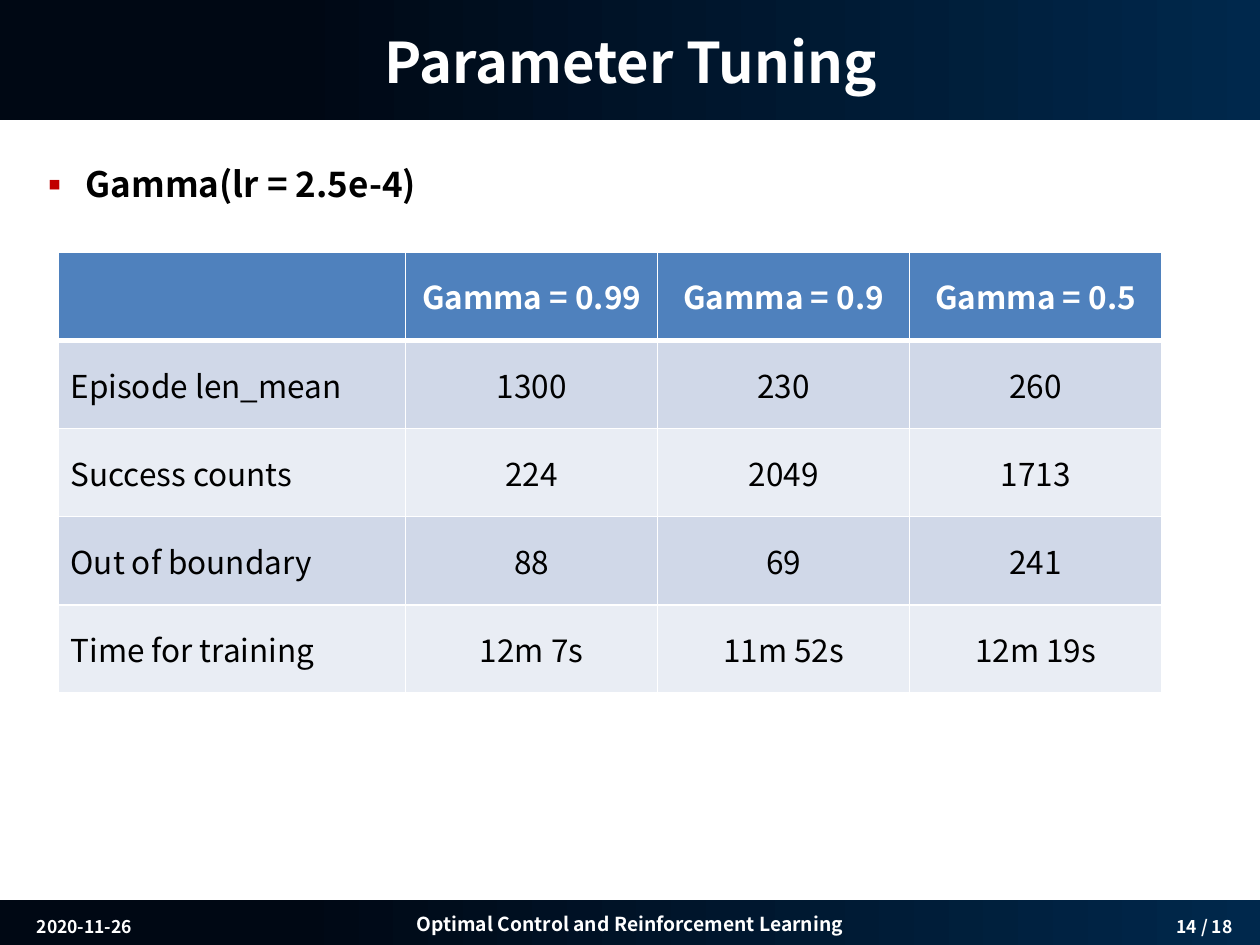
import pptx
import pptx.util
import pptx.dml.color
import pptx.enum.shapes
import pptx.enum.text
import pptx.oxml
import pptx.oxml.ns

Inches = pptx.util.Inches
Pt = pptx.util.Pt
RGBColor = pptx.dml.color.RGBColor
ALIGN = pptx.enum.text.PP_ALIGN
ANCHOR = pptx.enum.text.MSO_ANCHOR

FONT = "Noto Sans CJK KR"
WHITE = RGBColor(0xFF, 0xFF, 0xFF)
BLACK = RGBColor(0, 0, 0)
NAVY = RGBColor(0x00, 0x28, 0x4C)
MIDNIGHT = RGBColor(0x00, 0x08, 0x14)
HEADER_BLUE = RGBColor(0x4F, 0x81, 0xBD)
BAND_COLORS = [RGBColor(0xD0, 0xD8, 0xE8), RGBColor(0xE9, 0xED, 0xF4)]

TITLE = "Parameter Tuning"
TOPIC = "Gamma(lr = 2.5e-4)"
COURSE = "Optimal Control and Reinforcement Learning"
FOOTER_NOTES = [("14 / 18", 9.17, 0.78), ("2020-11-26", 0.04, 1.26)]
RESULTS = [
    ["", "Gamma = 0.99", "Gamma = 0.9", "Gamma = 0.5"],
    ["Episode len_mean", "1300", "230", "260"],
    ["Success counts", "224", "2049", "1713"],
    ["Out of boundary", "88", "69", "241"],
    ["Time for training", "12m 7s", "11m 52s", "12m 19s"],
]
COLUMN_WIDTHS = [2.76, 2, 2, 2]
ROW_HEIGHT = 0.7


def write(frame, text, size, color=WHITE, bold=True, align=ALIGN.CENTER,
          anchor=ANCHOR.TOP, before=0, wrap=True):
    frame.word_wrap = wrap
    frame.vertical_anchor = anchor
    paragraph = frame.paragraphs[0]
    paragraph.alignment = align
    paragraph.space_before = Pt(before)
    run = paragraph.add_run()
    run.text = text
    run.font.name = FONT
    run.font.size = Pt(size)
    run.font.bold = bold
    run.font.color.rgb = color
    return paragraph


def add_box(slide, *place):
    return slide.shapes.add_textbox(*map(Inches, place)).text_frame


def add_band(slide, *place):
    band = slide.shapes.add_shape(
        pptx.enum.shapes.MSO_SHAPE.RECTANGLE, *map(Inches, place))
    band.shadow.inherit = False
    band.line.fill.background()
    band.fill.gradient()
    band.fill.gradient_angle = 180
    for stop, color, position in zip(
            band.fill.gradient_stops, [NAVY, MIDNIGHT], [0, 0.77]):
        stop.color.rgb = color
        stop.position = position
    return band.text_frame


def add_bullet(paragraph, mark, color, indent):
    properties = paragraph._p.get_or_add_pPr()
    properties.set("marL", str(Inches(indent)))
    properties.set("indent", str(-Inches(indent)))
    namespace = pptx.oxml.ns.nsdecls("a")
    for xml in (f'<a:buClr {namespace}><a:srgbClr val="{color}"/></a:buClr>',
                f'<a:buFont {namespace} typeface="{FONT}"/>',
                f'<a:buChar {namespace} char="{mark}"/>'):
        properties.append(pptx.oxml.parse_xml(xml))


def add_borders(cell, widths):
    properties = cell._tc.get_or_add_tcPr()
    for side, width in widths.items():
        properties.append(pptx.oxml.parse_xml(
            f'<a:ln{side} {pptx.oxml.ns.nsdecls("a")} w="{Pt(width)}">'
            f'<a:solidFill><a:srgbClr val="{WHITE}"/></a:solidFill></a:ln{side}>'))


def add_results(slide, left, top):
    grid = slide.shapes.add_table(
        len(RESULTS), len(COLUMN_WIDTHS), Inches(left), Inches(top),
        Inches(sum(COLUMN_WIDTHS)), Inches(ROW_HEIGHT * len(RESULTS))).table
    for column, width in zip(grid.columns, COLUMN_WIDTHS):
        column.width = Inches(width)
    for r, values in enumerate(RESULTS):
        grid.rows[r].height = Inches(ROW_HEIGHT)
        header = r == 0
        for c, value in enumerate(values):
            cell = grid.cell(r, c)
            add_borders(cell, {"L": 1, "R": 1, "T": 3 if r == 1 else 1,
                               "B": 3 if header else 1})
            cell.fill.solid()
            cell.fill.fore_color.rgb = HEADER_BLUE if header else BAND_COLORS[(r - 1) % 2]
            cell.vertical_anchor = ANCHOR.MIDDLE
            if value:
                write(cell.text_frame, value, 18, color=WHITE if header else BLACK,
                      bold=header, anchor=None,
                      align=ALIGN.LEFT if c == 0 else ALIGN.CENTER)


def main():
    deck = pptx.Presentation()
    deck.slide_width, deck.slide_height = Inches(10), Inches(7.5)
    slide = deck.slides.add_slide(deck.slide_layouts[6])

    add_band(slide, 0, 0, 10.01, 0.95)
    footer = add_band(slide, -0.01, 7.14, 10.02, 0.38)
    write(footer, COURSE, 11, anchor=ANCHOR.MIDDLE, wrap=False)
    for note, left, width in FOOTER_NOTES:
        write(add_box(slide, left, 7.22, width, 0.27), note, 10, before=2)

    topic = write(add_box(slide, 0.2, 1.07, 9.61, 5.91), TOPIC, 20,
                  color=BLACK, align=ALIGN.LEFT, before=4)
    topic.line_spacing = 1.5
    add_bullet(topic, "▪", RGBColor(0xC0, 0, 0), 0.38)
    write(add_box(slide, 0.2, 0.15, 9.61, 0.67), TITLE, 32, anchor=ANCHOR.MIDDLE)
    add_results(slide, 0.46, 2)
    deck.save("out.pptx")


if __name__ == "__main__":
    main()
